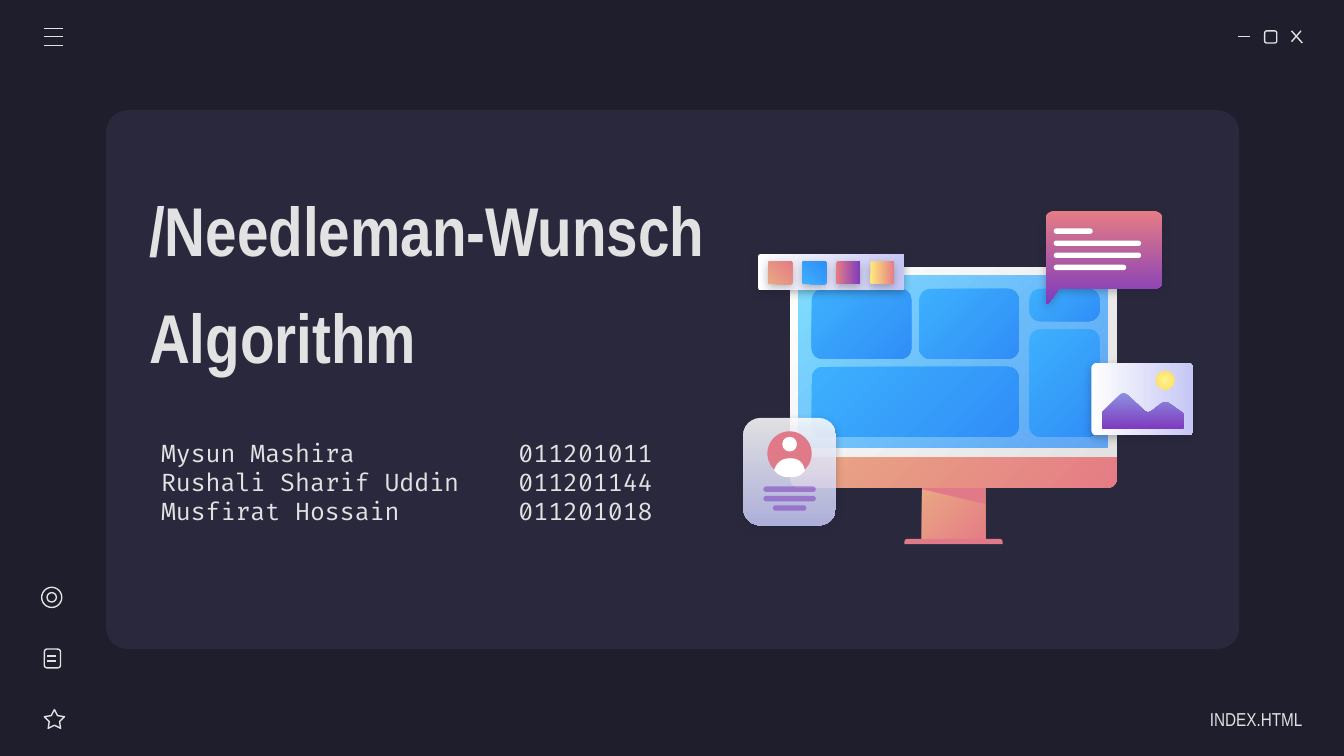
"""Build the title slide of a talk on the Needleman-Wunsch algorithm."""
from math import dist

from lxml.etree import SubElement
from pptx import Presentation
from pptx.dml.color import RGBColor
from pptx.enum.shapes import MSO_CONNECTOR, MSO_SHAPE as S
from pptx.enum.text import MSO_ANCHOR, MSO_AUTO_SIZE, PP_ALIGN
from pptx.oxml.ns import qn
from pptx.util import Inches, Pt

TITLE = "/Needleman-Wunsch Algorithm"
MEMBERS = [
    ("Mysun Mashira", "011201011"),
    ("Rushali Sharif Uddin", "011201144"),
    ("Musfirat Hossain", "011201018"),
]
FOOTER = "INDEX.HTML"

THEME = {
    "bg": "1E1E2C", "ink": "E2E2E2", "line": 0.75,
    "head": "Arial Narrow", "mono": "Fira Code",
    "title": 37, "leading": 57.4, "body": 13, "small": 10,
    "fills": {
        "panel": ([("29283D", 100)], None),
        "white": ([("FFFFFF", 100)], None),
        "rose": ([("E07A88", 100)], None),
        "violet": ([("7E3BBE", 54)], None),
        "coral": ([("E9A984", 100), ("E57C85", 100)], 45),
        "bezel": ([("FFFFFF", 100), ("E2E2E2", 100)], 45),
        "screen": ([("80DFFF", 100), ("318FFA", 72)], 45),
        "blue": ([("3DB0FD", 100), ("308EF7", 100)], 45),
        "sunset": ([("E57C85", 100), ("7E3BBE", 100)], 90),
        "glass": ([("FFFFFF", 86), ("C5C7F4", 86)], 90),
        "paper": ([("FFFFFF", 100), ("C5C7F4", 100)], 90),
        "hills": ([("8D90E1", 100), ("7E3BBE", 100)], 90),
        "gold": ([("FFEA7D", 100), ("E57C85", 100)], 90),
        "sun": ([("FFF68E", 100), ("FFD966", 100)], "circle"),
    },
}

MONITOR = [
    (S.RECTANGLE, (6.86, 3.61, 0.47, 0.43), "coral", []),
    (S.ROUND_2_SAME_RECTANGLE, (6.73, 4.01, 0.73, 0.04), "rose", [0.5, 0]),
]
NECK_SHADE = [(6.86, 3.61, 0), (6.86, 3.64, 0), (7.33, 3.75, 0), (7.33, 3.61, 0)]
DISPLAY = [
    (S.ROUND_2_SAME_RECTANGLE, (5.88, 3.39, 2.43, 0.24), "coral", [0, 0.27]),
    (S.ROUND_2_SAME_RECTANGLE, (5.88, 1.99, 2.43, 1.41), "bezel", [0.05, 0]),
    (S.RECTANGLE, (5.94, 2.05, 2.3, 1.28), "screen", []),
]
TILES = [(6.04, 2.15, 0.74, 0.52), (6.04, 2.73, 1.54, 0.52), (6.84, 2.15, 0.74, 0.52),
         (7.66, 2.15, 0.52, 0.24), (7.66, 2.45, 0.52, 0.8)]
TILE_RADIUS = 0.08
BUBBLE = [(7.78, 1.57, 0.07), (8.65, 1.57, 0.07), (8.65, 2.15, 0.07),
          (7.88, 2.15, 0), (7.8, 2.26, 0.02), (7.78, 2.26, 0.02)]
BUBBLE_LINES = [0.29, 0.65, 0.65, 0.54]
AVATAR = [
    (S.OVAL, (5.71, 3.21, 0.33, 0.33), "rose", []),
    (S.OVAL, (5.82, 3.25, 0.11, 0.11), "white", []),
]
BUST = [(5.76, 3.5, 0), (5.79, 3.41, 0.09), (5.97, 3.41, 0.09),
        (5.99, 3.5, 0), (5.95, 3.55, 0.05), (5.81, 3.55, 0.05)]
CARD_LINES = [(5.68, 0.39), (5.68, 0.39), (5.75, 0.25)]
HILLS = [(8.2, 3.07, 0.01), (8.36, 2.91, 0.04), (8.54, 3.08, 0.04), (8.67, 2.98, 0.04),
         (8.81, 3.08, 0.01), (8.81, 3.19, 0.02), (8.2, 3.19, 0.02)]
SWATCHES = ["coral", "blue", "sunset", "gold"]

ICON_OUTLINES = [
    (S.ROUNDED_RECTANGLE, (9.41, 0.23, 0.09, 0.09), [0.167]),
    (S.STAR_5_POINT, (0.33, 5.28, 0.15, 0.14), [0.254]),
    (S.ROUNDED_RECTANGLE, (0.33, 4.83, 0.12, 0.14), [0.167]),
    (S.OVAL, (0.31, 4.37, 0.15, 0.15), []),
    (S.OVAL, (0.35, 4.41, 0.07, 0.07), []),
]
ICON_LINES = [
    (9.21, 0.27, 9.3, 0.27), (9.61, 0.23, 9.69, 0.32), (9.68, 0.23, 9.61, 0.31),
    *[(0.33, y, 0.47, y) for y in (0.21, 0.27, 0.34)],
    *[(0.35, y, 0.42, y) for y in (4.88, 4.92)],
]


def paint(sp, name, shadow=False):
    """Apply a theme fill, no outline and an optional soft shadow."""
    stops, angle = THEME["fills"][name]
    if angle is None:
        sp.fill.solid()
        colors = [sp.fill.fore_color]
    else:
        sp.fill.gradient()
        colors = [stop.color for stop in sp.fill.gradient_stops]
        if angle == "circle":
            grad = sp._element.spPr.find(qn("a:gradFill"))
            grad.remove(grad.find(qn("a:lin")))
            radial = SubElement(grad, qn("a:path"), {"path": "circle"})
            SubElement(radial, qn("a:fillToRect"), dict.fromkeys("ltrb", "50000"))
        else:
            sp.fill.gradient_angle = 360 - angle
    for color, (rgb, _) in zip(colors, stops):
        color.rgb = RGBColor.from_string(rgb)
    for clr, (_, alpha) in zip(sp._element.spPr.iter(qn("a:srgbClr")), stops):
        if alpha < 100:
            SubElement(clr, qn("a:alpha"), val=str(alpha * 1000))
    sp.line.fill.background()
    sp.shadow.inherit = False
    if shadow:
        effects = sp._element.spPr.find(qn("a:effectLst"))
        outer = SubElement(effects, qn("a:outerShdw"), blurRad=str(Pt(4.5)),
                           dist=str(Pt(1.5)), dir="5400000", algn="bl", rotWithShape="0")
        clr = SubElement(outer, qn("a:srgbClr"), val=THEME["bg"])
        SubElement(clr, qn("a:alpha"), val="30000")


def preset(shapes, kind, at, adj):
    """Add a preset shape with its adjustments."""
    sp = shapes.add_shape(kind, *map(Inches, at))
    for i, value in enumerate(adj):
        sp.adjustments[i] = value
    return sp


def box(shapes, kind, at, fill, adj=(), shadow=False, rotation=0):
    """Add a filled preset shape."""
    sp = preset(shapes, kind, at, adj)
    sp.rotation = rotation
    paint(sp, fill, shadow)


def outline(shapes, corners, fill, shadow=False, steps=6):
    """Add a polygon whose (x, y, radius) corners are rounded."""
    points = []
    for i, (x, y, radius) in enumerate(corners):
        ends = []
        for nx, ny, _ in (corners[i - 1], corners[(i + 1) % len(corners)]):
            k = radius / dist((x, y), (nx, ny))
            ends.append((x + k * (nx - x), y + k * (ny - y)))
        (ax, ay), (bx, by) = ends
        for t in [s / steps for s in range(steps + 1)] if radius else [0]:
            u = 1 - t
            points.append((Inches(u * u * ax + 2 * u * t * x + t * t * bx),
                           Inches(u * u * ay + 2 * u * t * y + t * t * by)))
    builder = shapes.build_freeform(*points[0])
    builder.add_line_segments(points[1:], close=True)
    paint(builder.convert_to_shape(), fill, shadow)


def stroke(line):
    """Give a line the thin icon style."""
    line.color.rgb = RGBColor.from_string(THEME["ink"])
    line.width = Pt(THEME["line"])


def write(sp, text, font, size, right=0.1, bottom=0.1, bold=False, align=PP_ALIGN.LEFT):
    """Fill a text shape and format its runs."""
    tf = sp.text_frame
    tf.word_wrap, tf.auto_size = True, MSO_AUTO_SIZE.NONE
    tf.vertical_anchor = MSO_ANCHOR.MIDDLE
    tf.margin_left = tf.margin_top = Inches(0.1)
    tf.margin_right, tf.margin_bottom = Inches(right), Inches(bottom)
    tf.text = text
    for p in tf.paragraphs:
        p.alignment = align
        for r in p.runs:
            r.font.name, r.font.size, r.font.bold = font, Pt(size), bold
            r.font.color.rgb = RGBColor.from_string(THEME["ink"])
    return tf


def main():
    """Assemble and save the slide."""
    prs = Presentation()
    prs.slide_width = Inches(10)
    prs.slide_height = prs.slide_width * 9 // 16
    slide = prs.slides.add_slide(prs.slide_layouts[5])
    slide.background.fill.solid()
    slide.background.fill.fore_color.rgb = RGBColor.from_string(THEME["bg"])
    shapes, rounded = slide.shapes, S.ROUNDED_RECTANGLE
    box(shapes, rounded, (0.79, 0.82, 8.43, 4.01), "panel", [0.04])

    title = shapes.title
    shapes._spTree.append(title._element)
    title.left, title.top, title.width, title.height = map(Inches, (1.01, 1.04, 4.63, 2.16))
    tf = write(title, TITLE, THEME["head"], THEME["title"], bottom=0.32, bold=True)
    tf.paragraphs[0].line_spacing = Pt(THEME["leading"])
    members = shapes.add_textbox(*map(Inches, (1.1, 3.07, 4.14, 1.52)))
    tf = write(members, "\n".join(map("\t".join, MEMBERS)), THEME["mono"], THEME["body"], bottom=0.59)
    for p in tf.paragraphs:
        tabs = SubElement(p._p.get_or_add_pPr(), qn("a:tabLst"))
        SubElement(tabs, qn("a:tab"), pos=str(Inches(2.66)), algn="l")
    footer = shapes.add_textbox(*map(Inches, (8.52, 5.2, 1.17, 0.3)))
    write(footer, FOOTER, THEME["head"], THEME["small"], right=0, align=PP_ALIGN.RIGHT)

    for part in MONITOR:
        box(shapes, *part)
    outline(shapes, NECK_SHADE, "rose")
    for part in DISPLAY:
        box(shapes, *part)
    for at in TILES:
        box(shapes, rounded, at, "blue", [TILE_RADIUS / min(at[2:])])

    outline(shapes, BUBBLE, "sunset", shadow=True)
    for i, width in enumerate(BUBBLE_LINES):
        box(shapes, rounded, (7.84, 1.7 + 0.09 * i, width, 0.04), "white", [0.5])

    box(shapes, rounded, (5.53, 3.11, 0.69, 0.8), "glass", [0.187], shadow=True)
    for part in AVATAR:
        box(shapes, *part)
    outline(shapes, BUST, "white")
    for i, (left, width) in enumerate(CARD_LINES):
        box(shapes, rounded, (left, 3.62 + 0.07 * i, width, 0.04), "violet", [0.5])

    box(shapes, rounded, (8.23, 2.59, 0.54, 0.76), "paper", [0.073], True, 270)
    outline(shapes, HILLS, "hills")
    box(shapes, S.OVAL, (8.6, 2.76, 0.14, 0.14), "sun")

    box(shapes, rounded, (6.05, 1.48, 0.27, 1.09), "paper", [0.073], True, 270)
    for i, fill in enumerate(SWATCHES):
        box(shapes, rounded, (5.72 + 0.76 * i / 3, 1.94, 0.17, 0.18), fill, [0.073], True, 270)

    for icon in ICON_OUTLINES:
        sp = preset(shapes, *icon)
        sp.fill.background()
        sp.shadow.inherit = False
        stroke(sp.line)
    for ends in ICON_LINES:
        line = shapes.add_connector(MSO_CONNECTOR.STRAIGHT, *map(Inches, ends))
        stroke(line.line)
        SubElement(line._element.spPr, qn("a:effectLst"))
    prs.save("out.pptx")


if __name__ == "__main__":
    main()
